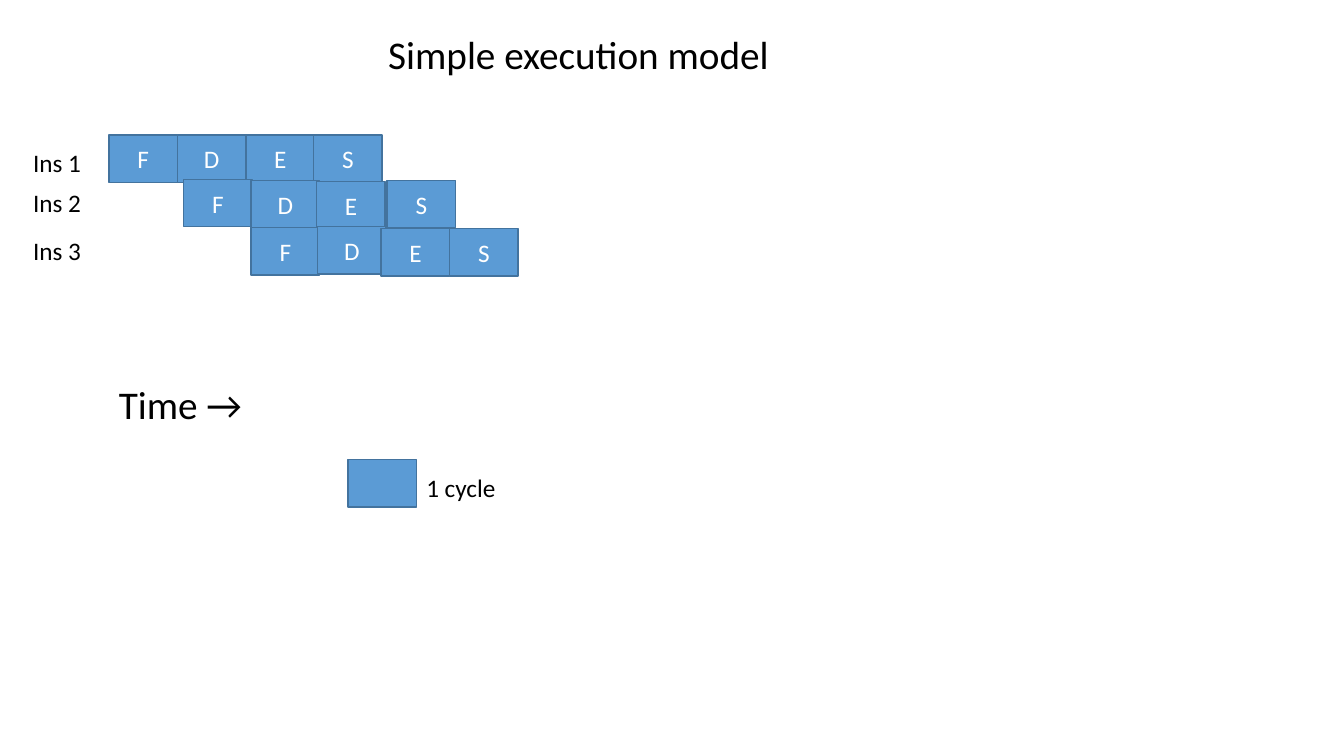
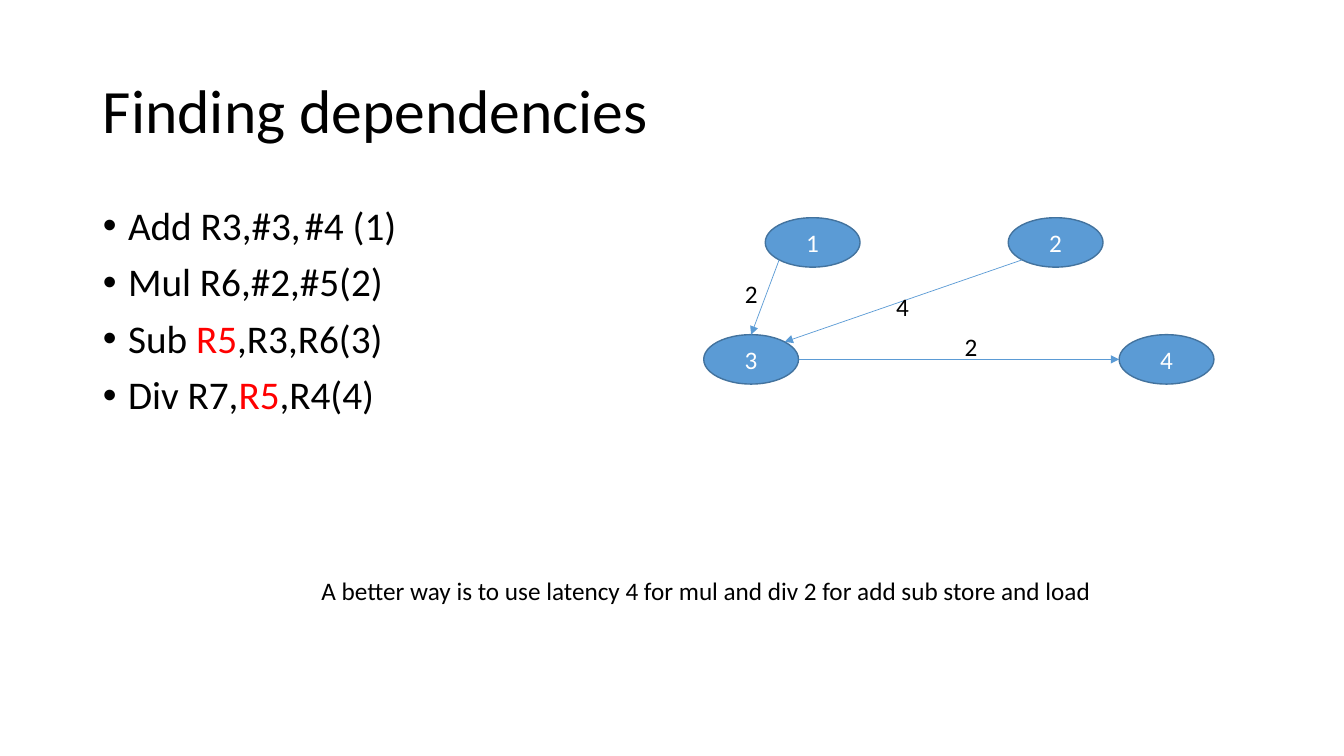
"""Build two slides on instruction timing and dependencies."""
import math

import pptx
import pptx.dml.color
import pptx.enum.shapes
import pptx.enum.text
import pptx.oxml
import pptx.oxml.ns
import pptx.util
from lxml import etree

Inches = pptx.util.Inches
Pt = pptx.util.Pt
qn = pptx.oxml.ns.qn
Shape = pptx.enum.shapes.MSO_SHAPE
Fit = pptx.enum.text.MSO_AUTO_SIZE
Anchor = pptx.enum.text.MSO_ANCHOR
Align = pptx.enum.text.PP_ALIGN


def tint(code):
    return pptx.dml.color.RGBColor.from_string(code)


def write(frame, lines, size=18, color="000000", font="Calibri",
          align=Align.LEFT, anchor=Anchor.TOP, wrap=True, fit=Fit.NONE,
          lead=1.0, before=0):
    frame.word_wrap = wrap
    frame.auto_size = fit
    frame.vertical_anchor = anchor
    for i, line in enumerate(lines):
        para = frame.add_paragraph() if i else frame.paragraphs[0]
        para.alignment = align
        para.line_spacing = lead
        para.space_before = Pt(before)
        for part in line:
            text, shade = part if isinstance(part, tuple) else (part, color)
            run = para.add_run()
            run.text = text
            run.font.name = font
            run.font.size = Pt(size)
            run.font.color.rgb = tint(shade)


def place(item, left, top, width, height):
    item.left, item.top = Inches(left), Inches(top)
    item.width, item.height = Inches(width), Inches(height)


class Deck:
    blue, edge, white, red = "5B9BD5", "43739E", "FFFFFF", "FF0000"
    box = (0.68, 0.47)
    oval = (0.94, 0.49)

    def __init__(self):
        self.file = pptx.Presentation()
        self.file.slide_width = Inches(13.33)
        self.file.slide_height = Inches(7.5)
        self.slide = None

    def add(self, layout):
        self.slide = self.file.slides.add_slide(self.file.slide_layouts[layout])

    def title(self, text, spot, **style):
        item = self.slide.shapes.title
        place(item, *spot)
        write(item.text_frame, [[text]], **style)

    def list(self, lines, spot):
        item = self.slide.placeholders[1]
        place(item, *spot)
        write(item.text_frame, lines, size=28, lead=0.9, before=10)
        for para in item.text_frame.paragraphs:
            props = para._p.get_or_add_pPr()
            props.set("marL", str(Inches(0.25)))
            props.set("indent", str(-Inches(0.25)))
            mark = etree.SubElement(props, qn("a:buChar"))
            mark.set("char", "•")

    def label(self, text, left, top, width, height=0.4, size=18):
        item = self.slide.shapes.add_textbox(0, 0, 0, 0)
        place(item, left, top, width, height)
        write(item.text_frame, [[text]], size=size, wrap=False,
              fit=Fit.SHAPE_TO_FIT_TEXT)

    def block(self, kind, left, top, size, text=""):
        item = self.slide.shapes.add_shape(kind, 0, 0, 0, 0)
        place(item, left, top, *size)
        item.shadow.inherit = False
        item.fill.solid()
        item.fill.fore_color.rgb = tint(self.blue)
        item.line.color.rgb = tint(self.edge)
        item.line.width = Pt(1)
        if text:
            write(item.text_frame, [[text]], color=self.white,
                  align=Align.CENTER, anchor=Anchor.MIDDLE)
        return item

    def arrow(self, start, out, end, into):
        ends = []
        for node, site in ((start, out), (end, into)):
            turn = math.radians(90 + 45 * site)
            ends += [round(node.left + node.width / 2 * (1 + math.cos(turn))),
                     round(node.top + node.height / 2 * (1 - math.sin(turn)))]
        line = self.slide.shapes.add_connector(
            pptx.enum.shapes.MSO_CONNECTOR.STRAIGHT, *ends)
        line.line.color.rgb = tint(self.blue)
        line.line.width = Pt(0.5)
        stroke = line.line._get_or_add_ln()
        etree.SubElement(stroke, qn("a:tailEnd")).set("type", "triangle")
        etree.SubElement(line.element.spPr, qn("a:effectLst"))
        glue = line.element.nvCxnSpPr.cNvCxnSpPr
        for tag, node, site in (("a:stCxn", start, out),
                                ("a:endCxn", end, into)):
            etree.SubElement(glue, qn(tag), id=str(node.shape_id),
                             idx=str(site))


def model(deck):
    deck.add(5)
    deck.title("Simple execution model", (3.75, 0.25, 4.02, 0.57),
               size=28, wrap=False)
    rows = [
        ("Ins 1", 1.41, [(1.08, 1.34), (1.76, 1.34), (2.44, 1.34), (3.11, 1.34)]),
        ("Ins 2", 1.81, [(1.82, 1.78), (2.49, 1.79), (3.14, 1.8), (3.84, 1.79)]),
        ("Ins 3", 2.29, [(2.49, 2.26), (3.15, 2.25), (3.78, 2.27), (4.46, 2.27)]),
    ]
    for name, top, spots in rows:
        deck.label(name, 0.23, top, 0.68)
        for stage, (left, high) in zip("FDES", spots):
            deck.block(Shape.RECTANGLE, left, high, deck.box, stage)
    deck.label("Time →", 1.08, 3.72, 1.46, 0.57, size=28)
    deck.block(Shape.RECTANGLE, 3.45, 4.56, deck.box)
    deck.label("1 cycle", 4.13, 4.64, 0.9)


def graph(deck):
    deck.add(1)
    deck.title("Finding dependencies", (0.92, 0.4, 11.5, 1.45),
               size=44, anchor=Anchor.MIDDLE, lead=0.9)
    hot = ("R5", deck.red)
    deck.list([["Add R3,#3,\t#4 (1)"], ["Mul R6,#2,#5(2)"],
               ["Sub ", hot, ",R3,R6(3)"], ["Div R7,", hot, ",R4(4)"]],
              (0.92, 2, 11.5, 4.76))
    spots = {1: (7.59, 2.16), 2: (10, 2.16), 3: (6.98, 3.32), 4: (11.1, 3.32)}
    nodes = {key: deck.block(Shape.OVAL, *spot, deck.oval, str(key))
             for key, spot in spots.items()}
    top, left, low_left, right, high_right = 0, 2, 3, 6, 7
    for start, out, end, into, cost, spot in [
            (2, low_left, 3, high_right, "4", (8.79, 2.84)),
            (1, low_left, 3, top, "2", (7.29, 2.71)),
            (3, right, 4, left, "2", (9.47, 3.24))]:
        deck.arrow(nodes[start], out, nodes[end], into)
        deck.label(cost, *spot, 0.33)
    deck.label("A better way is to use latency 4 for mul and div 2 for add sub "
               "store and load", 3.09, 5.66, 7.93)


def main():
    deck = Deck()
    model(deck)
    graph(deck)
    deck.file.save("out.pptx")


if __name__ == "__main__":
    main()
